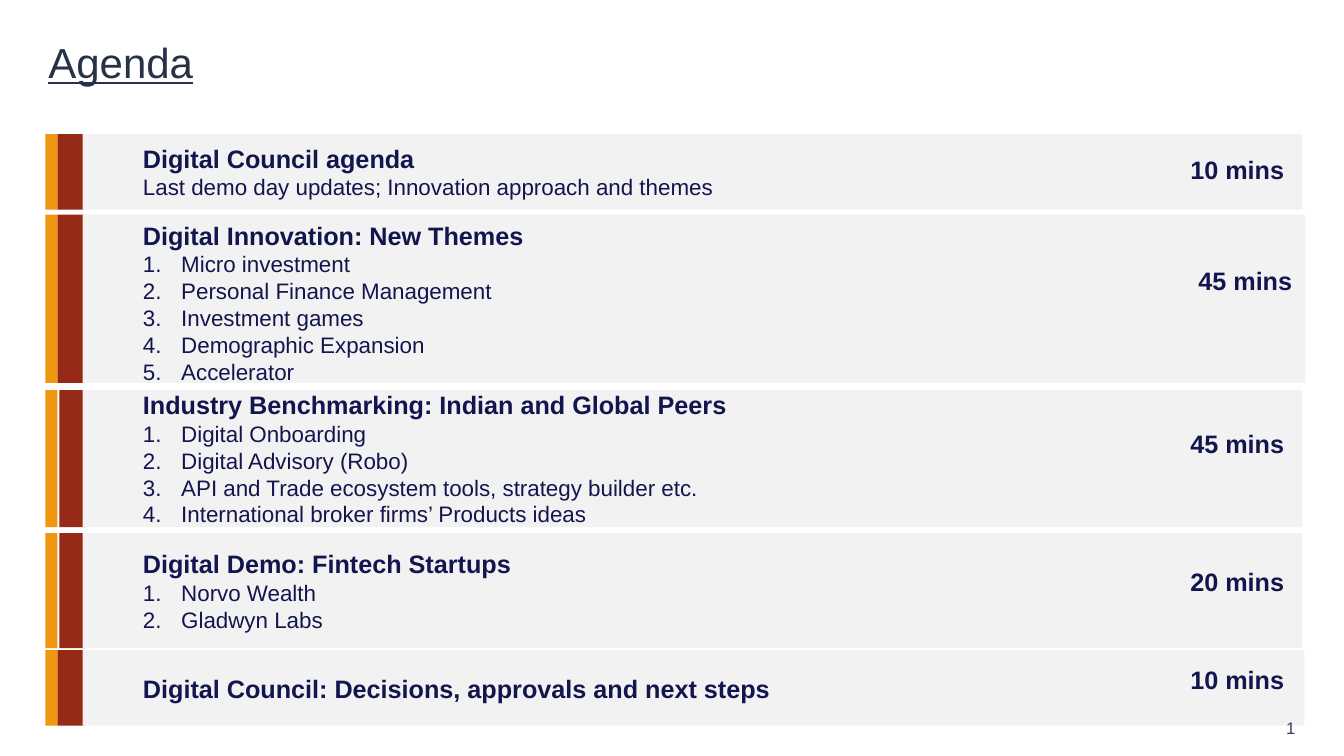
from dataclasses import dataclass

from lxml import etree
from pptx import Presentation
from pptx.dml.color import RGBColor
from pptx.enum.shapes import MSO_SHAPE
from pptx.enum.text import MSO_ANCHOR, MSO_AUTO_SIZE, PP_ALIGN
from pptx.oxml.ns import qn
from pptx.util import Inches, Pt

RECT = MSO_SHAPE.RECTANGLE
MIDDLE, BOTTOM = MSO_ANCHOR.MIDDLE, MSO_ANCHOR.BOTTOM
LEFT, RIGHT = PP_ALIGN.LEFT, PP_ALIGN.RIGHT
FIXED, GROW = MSO_AUTO_SIZE.NONE, MSO_AUTO_SIZE.SHAPE_TO_FIT_TEXT

CELL = Inches(0.1)
COLS, ROWS = 133.33, 75
STRIPE_LEFT, STRIPE_WIDTH = 4.5, 1.2
RAIL_WIDTH, PANEL_LEFT = 2.6, 8.2
TIME_WIDTH, TIME_HEIGHT = 11.4, 4
TEXT_INDENT, LIST_INDENT, LIST_HANG = 5, 8.8, 3.8


@dataclass(frozen=True)
class Theme:
    """Colours and type styles of the slide."""

    orange = RGBColor.from_string("EF9711")
    red = RGBColor.from_string("972917")
    grey = RGBColor.from_string("F2F2F2")
    navy = RGBColor.from_string("13164E")
    slate = RGBColor.from_string("273247")
    steel = RGBColor.from_string("34425F")
    title = {"name": "Arial", "size": Pt(30), "underline": True}
    heading = {"name": "Arial", "size": Pt(18), "bold": True}
    body = {"name": "Arial", "size": Pt(16), "bold": False}
    number = {"name": "Arial", "size": Pt(12)}


@dataclass(frozen=True)
class Item:
    """One agenda entry with its place on the grid."""

    top: float
    height: float
    heading: str
    time: str
    time_drop: float
    subtitle: str = ""
    points: tuple = ()
    rail_left: float = 5.7
    right: float = 129.2
    time_left: float = 117.1
    inset_top: float = 0.5
    inset_bottom: float = 0.5


THEME = Theme()
AGENDA = [
    Item(13.3, 7.5, "Digital Council agenda", "10 mins", 1.5,
         subtitle="Last demo day updates; Innovation approach and themes"),
    Item(21.3, 16.7, "Digital Innovation: New Themes", "45 mins", 4.5,
         points=("Micro investment", "Personal Finance Management", "Investment games",
                 "Demographic Expansion", "Accelerator"),
         right=129.5, time_left=117.9, inset_top=0.7, inset_bottom=0),
    Item(38.7, 13.6, "Industry Benchmarking: Indian and Global Peers", "45 mins", 3.3,
         points=("Digital Onboarding", "Digital Advisory (Robo)",
                 "API and Trade ecosystem tools, strategy builder etc.",
                 "International broker firms’ Products ideas"),
         rail_left=5.9),
    Item(52.9, 11.4, "Digital Demo: Fintech Startups", "20 mins", 2.8,
         points=("Norvo Wealth", "Gladwyn Labs"), rail_left=5.9),
    Item(64.5, 7.5, "Digital Council: Decisions, approvals and next steps", "10 mins", 0.9,
         right=129.4),
]


def cells(*counts):
    """Turn grid counts into lengths."""
    return [int(n * CELL) for n in counts]


def apply(obj, values):
    """Set each named attribute on an object."""
    for name, value in values.items():
        setattr(obj, name, value)


def format_font(font, style, color):
    """Give a font its type style and colour."""
    apply(font, style)
    font.color.rgb = color


def add_run(p, text, style, color):
    """Append a formatted run to a paragraph."""
    r = p.add_run()
    r.text = text
    format_font(r.font, style, color)


def add_block(slide, box, color):
    """Add a plain filled rectangle."""
    sp = slide.shapes.add_shape(RECT, *cells(*box))
    sp.shadow.inherit = False
    sp.fill.solid()
    sp.fill.fore_color.rgb = color
    sp.line.fill.background()
    return sp


def indent(p, left, hang=0, numbered=False):
    """Indent a paragraph and number it if asked."""
    p.alignment = LEFT
    pPr = p._p.get_or_add_pPr()
    for name, value in zip(("marL", "indent"), cells(left, -hang)):
        pPr.set(name, str(value))
    if numbered:
        etree.SubElement(pPr, qn("a:buAutoNum"), type="arabicPeriod")


def add_title(slide, box, text):
    """Place the slide title."""
    sp = slide.shapes.title
    apply(sp, dict(zip(("left", "top", "width", "height"), cells(*box))))
    tf = sp.text_frame
    apply(tf, {"vertical_anchor": BOTTOM, "auto_size": FIXED, "word_wrap": True})
    p = tf.paragraphs[0]
    p.alignment = LEFT
    add_run(p, text, THEME.title, THEME.slate)


def add_panel(slide, box, item):
    """Add the grey panel with heading and details."""
    tf = add_block(slide, box, THEME.grey).text_frame
    top, bottom = cells(item.inset_top, item.inset_bottom)
    apply(tf, {"vertical_anchor": MIDDLE, "word_wrap": True,
               "margin_top": top, "margin_bottom": bottom})
    p = tf.paragraphs[0]
    indent(p, TEXT_INDENT)
    add_run(p, item.heading, THEME.heading, THEME.navy)
    if item.subtitle:
        p.add_line_break()
        add_run(p, item.subtitle, THEME.body, THEME.navy)
    for point in item.points:
        p = tf.add_paragraph()
        indent(p, LIST_INDENT, LIST_HANG, numbered=True)
        add_run(p, point, THEME.body, THEME.navy)


def add_agenda_row(slide, item):
    """Add one agenda row: rail, panel, stripe and duration."""
    top, height = item.top, item.height
    add_block(slide, (item.rail_left, top, RAIL_WIDTH, height), THEME.red)
    add_panel(slide, (PANEL_LEFT, top, item.right - PANEL_LEFT, height), item)
    add_block(slide, (STRIPE_LEFT, top, STRIPE_WIDTH, height), THEME.orange)
    box = (item.time_left, top + item.time_drop, TIME_WIDTH, TIME_HEIGHT)
    tf = slide.shapes.add_textbox(*cells(*box)).text_frame
    apply(tf, {"word_wrap": False, "auto_size": GROW})
    add_run(tf.paragraphs[0], item.time, THEME.heading, THEME.navy)


def add_slide_number(slide, box):
    """Add the slide number as a live field."""
    tf = slide.shapes.add_textbox(*cells(*box)).text_frame
    tf.word_wrap = True
    p = tf.paragraphs[0]
    p.alignment = RIGHT
    add_run(p, "1", THEME.number, THEME.steel)
    r = p.runs[0]._r
    r.tag = qn("a:fld")
    r.set("id", "{B6F15528-21DE-4FAA-801E-634DDDAF4B2B}")
    r.set("type", "slidenum")


def main():
    """Build the agenda slide."""
    prs = Presentation()
    prs.slide_width, prs.slide_height = cells(COLS, ROWS)
    slide = prs.slides.add_slide(prs.slide_layouts[5])
    add_title(slide, (3.8, 1.3, 117, 7.8), "Agenda")
    for item in AGENDA:
        add_agenda_row(slide, item)
    add_slide_number(slide, (122.8, 70.7, 6.7, 3.1))
    prs.save("out.pptx")


if __name__ == "__main__":
    main()
